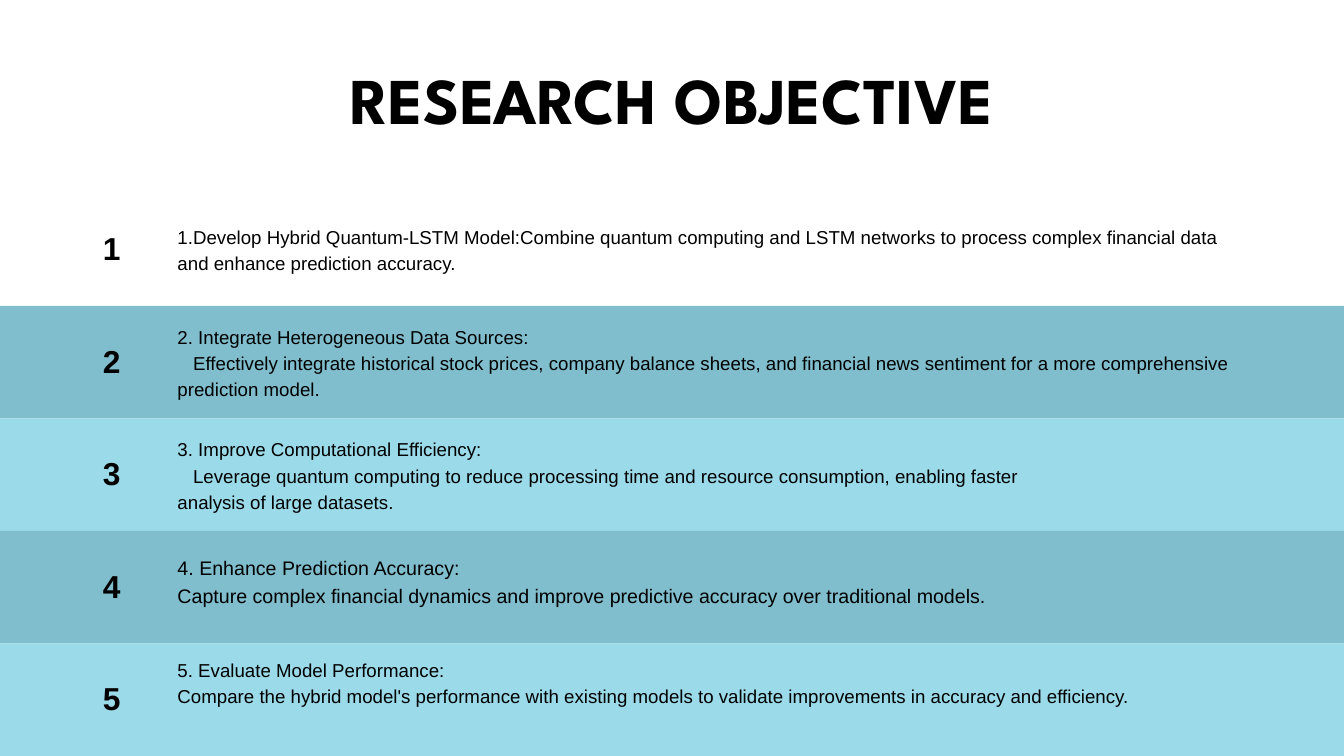
import pptx
from pptx.dml.color import RGBColor
from pptx.enum.shapes import MSO_SHAPE
from pptx.enum.text import MSO_ANCHOR, MSO_AUTO_SIZE, PP_ALIGN
from pptx.util import Cm, Pt

BLACK = RGBColor(0x00, 0x00, 0x00)
WHITE = RGBColor(0xFF, 0xFF, 0xFF)
DARK_BAND = RGBColor(0x80, 0xBE, 0xCD)
LIGHT_BAND = RGBColor(0x9B, 0xDA, 0xE9)

TITLE = "RESEARCH OBJECTIVE"
# Paragraphs, first-line indent of the last one (cm), font size (pt),
# and top, width and height of the text (cm)
OBJECTIVES = [
    (["1.Develop Hybrid Quantum-LSTM Model:Combine quantum computing and LSTM "
      "networks to process complex financial data and enhance prediction accuracy."],
     0, 20, 8.41, 40.16, 1.93),
    (["2. Integrate Heterogeneous Data Sources:",
      "Effectively integrate historical stock prices, company balance sheets, and "
      "financial news sentiment for a more comprehensive prediction model."],
     0.59, 20, 12.17, 42.67, 2.9),
    (["3. Improve Computational Efficiency:",
      "Leverage quantum computing to reduce processing time and resource "
      "consumption, enabling faster analysis of large datasets."],
     0.59, 20, 16.43, 31.93, 2.9),
    (["4. Enhance Prediction Accuracy:",
      "Capture complex financial dynamics and improve predictive accuracy over "
      "traditional models."],
     0, 21, 20.88, 31.93, 2.08),
    (["5. Evaluate Model Performance:",
      "Compare the hybrid model's performance with existing models to validate "
      "improvements in accuracy and efficiency."],
     0, 20, 24.77, 39.52, 2.79),
]

SLIDE_WIDTH, SLIDE_HEIGHT = 50.8, 28.58
BANDS_TOP = 11.56
ROW_HEIGHT = (SLIDE_HEIGHT - BANDS_TOP) / (len(OBJECTIVES) - 1)
FIRST_NUMBER_TOP = 8.66
NUMBER_LEFT, NUMBER_WIDTH, NUMBER_HEIGHT = 3.56, 1.32, 1.47
TEXT_LEFT = 6.71


def place(shape, left, top, width, height):
    shape.left, shape.top = Cm(left), Cm(top)
    shape.width, shape.height = Cm(width), Cm(height)


def write(shape, texts, size, line_spacing, font_name="Arial", bold=False,
          alignment=PP_ALIGN.LEFT):
    frame = shape.text_frame
    frame.word_wrap = True
    frame.auto_size = MSO_AUTO_SIZE.NONE
    frame.vertical_anchor = MSO_ANCHOR.TOP
    frame.margin_left = frame.margin_right = 0
    frame.margin_top = frame.margin_bottom = 0
    for index, text in enumerate(texts):
        paragraph = frame.add_paragraph() if index else frame.paragraphs[0]
        paragraph.alignment = alignment
        paragraph.line_spacing = Pt(line_spacing)
        run = paragraph.add_run()
        run.text = text
        run.font.name = font_name
        run.font.size = Pt(size)
        run.font.bold = bold
        run.font.color.rgb = BLACK


def add_text_box(slide, left, top, width, height):
    return slide.shapes.add_textbox(Cm(left), Cm(top), Cm(width), Cm(height))


def add_band(slide, row):
    band = slide.shapes.add_shape(
        MSO_SHAPE.RECTANGLE, 0, Cm(BANDS_TOP + (row - 1) * ROW_HEIGHT),
        Cm(SLIDE_WIDTH), Cm(ROW_HEIGHT))
    band.shadow.inherit = False
    band.fill.solid()
    band.fill.fore_color.rgb = DARK_BAND if row % 2 else LIGHT_BAND
    band.line.fill.background()


def add_objective(slide, row, texts, indent, size, top, width, height):
    number = add_text_box(slide, NUMBER_LEFT, FIRST_NUMBER_TOP + row * ROW_HEIGHT,
                          NUMBER_WIDTH, NUMBER_HEIGHT)
    write(number, [str(row + 1)], 34, 40.8, bold=True, alignment=PP_ALIGN.CENTER)
    description = add_text_box(slide, TEXT_LEFT, top, width, height)
    write(description, texts, size, size * 1.4)
    if indent:
        properties = description.text_frame.paragraphs[-1]._p.get_or_add_pPr()
        properties.set("marL", "0")
        properties.set("indent", str(Cm(indent)))


def main():
    presentation = pptx.Presentation()
    presentation.slide_width = Cm(SLIDE_WIDTH)
    presentation.slide_height = Cm(SLIDE_HEIGHT)
    slide = presentation.slides.add_slide(presentation.slide_layouts[5])
    slide.background.fill.solid()
    slide.background.fill.fore_color.rgb = WHITE

    title = slide.shapes.title
    place(title, 2.84, 2.24, 45.1, 2.95)
    write(title, [TITLE], 70, 84, "League Spartan", True, PP_ALIGN.CENTER)

    for row in range(1, len(OBJECTIVES)):
        add_band(slide, row)
    for row, objective in enumerate(OBJECTIVES):
        add_objective(slide, row, *objective)

    presentation.save("out.pptx")


if __name__ == "__main__":
    main()
